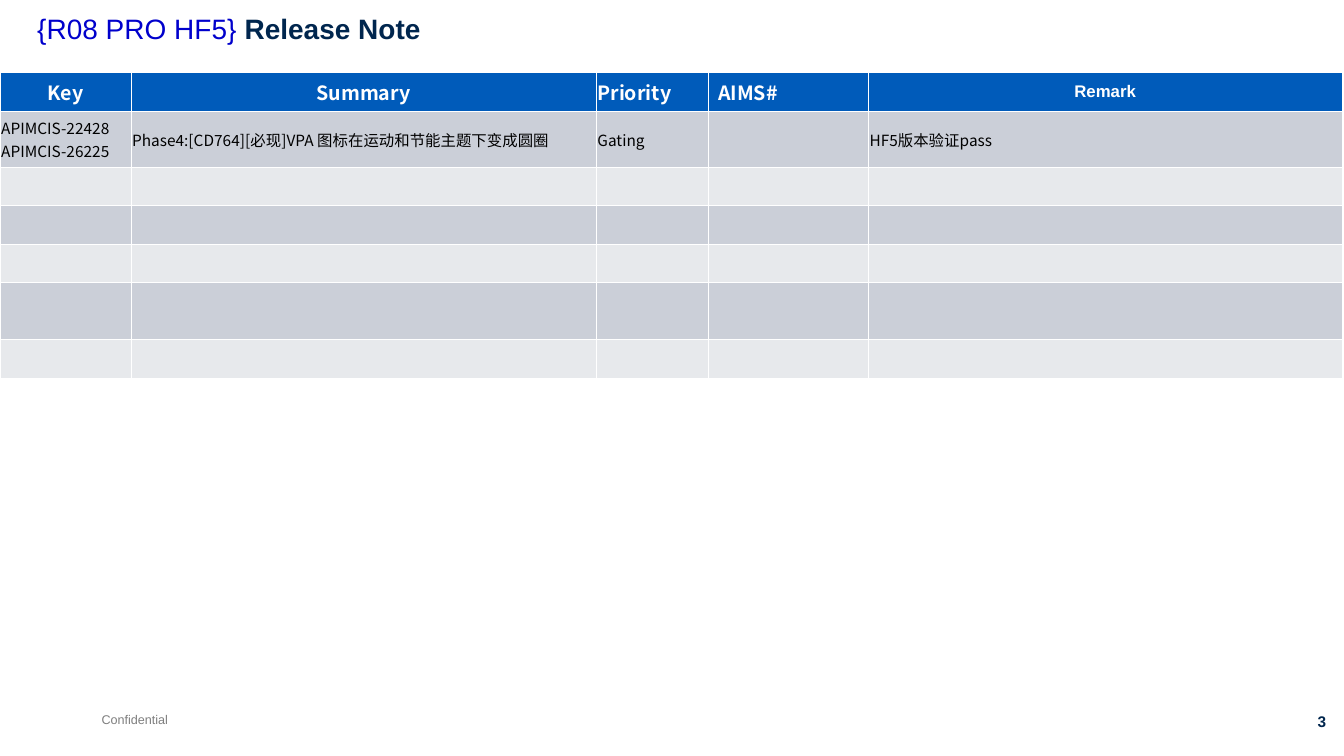
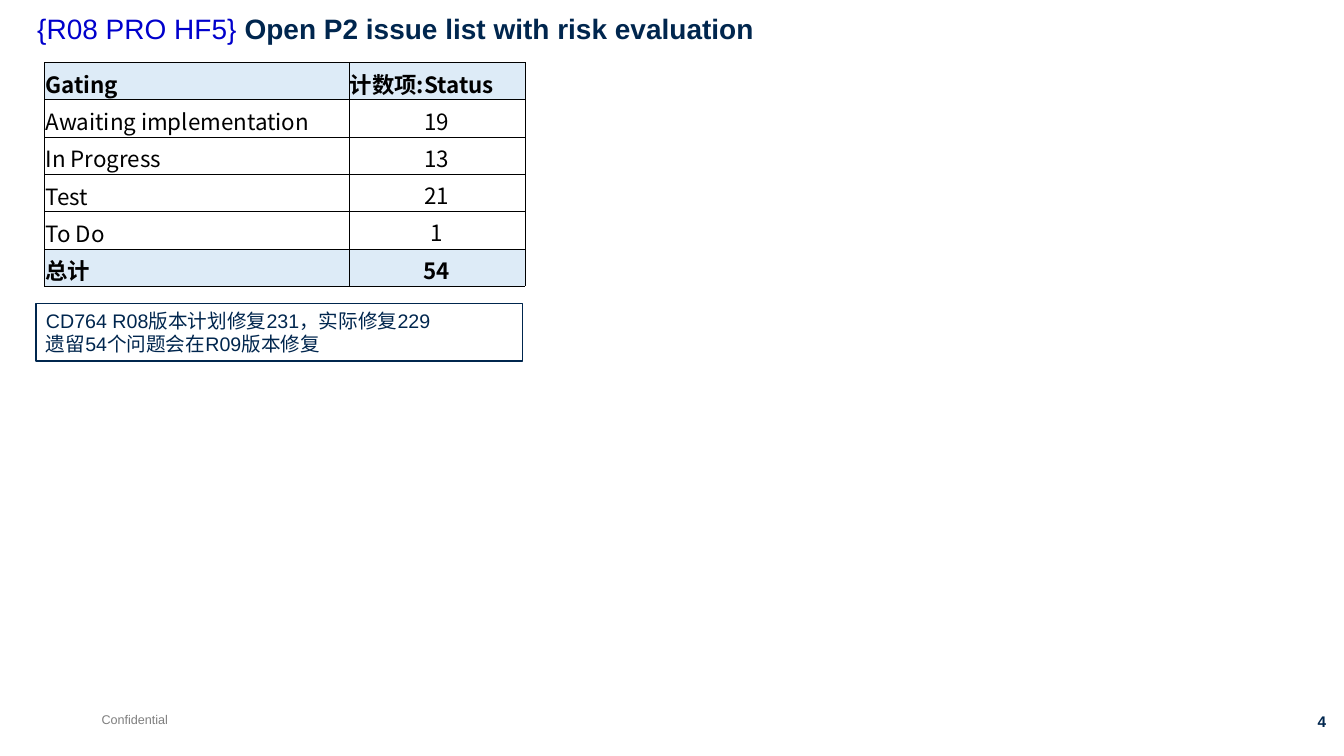
from dataclasses import dataclass

from lxml.etree import SubElement
from pptx import Presentation
from pptx.dml.color import RGBColor
from pptx.enum.shapes import MSO_SHAPE as Preset
from pptx.enum.text import MSO_ANCHOR as Anchor, PP_ALIGN as Align
from pptx.oxml.ns import qn
from pptx.util import Cm, Pt


@dataclass(frozen=True)
class Theme:
    navy: str = "00264E"
    release: str = "0000CC"
    header: str = "005BBA"
    bands: tuple = ("CBCFD8", "E7E9EC")
    total: str = "DDEBF7"
    grey: str = "7F7F7F"
    black: str = "000000"
    white: str = "FFFFFF"
    latin: str = "Arial"
    cjk: str = "Noto Sans CJK SC"
    title_size: float = 20
    count_size: float = 16
    header_size: float = 14
    note_size: float = 14
    remark_size: float = 12
    body_size: float = 11
    footer_size: float = 9
    thin: float = 0.45
    thick: float = 1.47
    hairline: float = 0.23


THEME = Theme()


def style_run(run, size, color, bold=False, name=THEME.latin):
    font = run.font
    font.size = Pt(size)
    font.bold = bold
    font.name = name
    font.color.rgb = RGBColor.from_string(color)
    SubElement(run._r.get_or_add_rPr(), qn("a:ea"), typeface=THEME.cjk)


def style_text(text_frame, size, color, bold=False, name=THEME.latin, align=Align.LEFT):
    for paragraph in text_frame.paragraphs:
        paragraph.alignment = align
        for run in paragraph.runs:
            style_run(run, size, color, bold, name)


def add_text(slide, box, text, size, color, bold=False, align=Align.LEFT):
    text_frame = slide.shapes.add_textbox(*map(Cm, box)).text_frame
    text_frame.word_wrap = True
    text_frame.text = text
    style_text(text_frame, size, color, bold, align=align)


def add_title(slide, text):
    text_frame = slide.shapes.add_textbox(Cm(0.69), Cm(0.25), Cm(30.1), Cm(1.6)).text_frame
    text_frame.word_wrap = True
    paragraph = text_frame.paragraphs[0]
    paragraph.line_spacing = 0.9
    for part, color, bold in (("{R08 PRO HF5} ", THEME.release, False), (text, THEME.navy, True)):
        run = paragraph.add_run()
        run.text = part
        style_run(run, THEME.title_size, color, bold)


def add_page(presentation, title, number):
    slide = presentation.slides.add_slide(presentation.slide_layouts[6])
    add_text(slide, (2.31, 17.81, 2.6, 0.64), "Confidential", THEME.footer_size, THEME.grey)
    add_text(slide, (31.29, 17.81, 2.39, 0.74), str(number), THEME.body_size, THEME.navy,
             bold=True, align=Align.RIGHT)
    add_title(slide, title)
    return slide


def add_note(slide, box, text):
    shape = slide.shapes.add_shape(Preset.RECTANGLE, *map(Cm, box))
    shape.shadow.inherit = False
    shape.fill.solid()
    shape.fill.fore_color.rgb = RGBColor.from_string(THEME.white)
    shape.line.color.rgb = RGBColor.from_string(THEME.navy)
    shape.line.width = Pt(1)
    text_frame = shape.text_frame
    text_frame.vertical_anchor = Anchor.TOP
    text_frame.text = text
    style_text(text_frame, THEME.note_size, THEME.navy)


def add_table(slide, left, top, widths, heights):
    table = slide.shapes.add_table(len(heights), len(widths), Cm(left), Cm(top),
                                   Cm(sum(widths)), Cm(sum(heights))).table
    table.first_row = False
    table.horz_banding = False
    for column, width in zip(table.columns, widths):
        column.width = Cm(width)
    for row, height in zip(table.rows, heights):
        row.height = Cm(height)
    return table


def set_borders(cell, color, left, right, top, bottom):
    properties = cell._tc.get_or_add_tcPr()
    for tag, width in (("lnL", left), ("lnR", right), ("lnT", top), ("lnB", bottom)):
        line = SubElement(properties, qn(f"a:{tag}"), w=str(Pt(width)))
        fill = SubElement(line, qn("a:solidFill"))
        SubElement(fill, qn("a:srgbClr"), val=color)


def fill_cell(cell, text, size, color, fill=None, bold=False, name=THEME.cjk,
              align=Align.LEFT, anchor=Anchor.MIDDLE, side=0.03, top=0.13, bottom=0.13):
    if fill:
        cell.fill.solid()
        cell.fill.fore_color.rgb = RGBColor.from_string(fill)
    else:
        cell.fill.background()
    cell.margin_left = cell.margin_right = Cm(side)
    cell.margin_top, cell.margin_bottom = Cm(top), Cm(bottom)
    cell.vertical_anchor = anchor
    if text:
        cell.text_frame.text = text
        style_text(cell.text_frame, size, color, bold, name, align)
    else:
        SubElement(cell.text_frame.paragraphs[0]._p, qn("a:endParaRPr"), sz=str(int(size * 100)))


def add_release_table(slide):
    headers = (
        ("Key", THEME.header_size, THEME.cjk, Align.CENTER, 0.03),
        ("Summary", THEME.header_size, THEME.cjk, Align.CENTER, 0.03),
        ("Priority", THEME.header_size, THEME.cjk, Align.LEFT, 0.03),
        ("AIMS#", THEME.header_size, THEME.cjk, Align.LEFT, 0.25),
        ("Remark", THEME.remark_size, THEME.latin, Align.CENTER, 0.25),
    )
    issues = [("APIMCIS-22428\nAPIMCIS-26225", "Phase4:[CD764][必现]VPA 图标在运动和节能主题下变成圆圈",
               "Gating", "", "HF5版本验证pass")]
    heights = (0.98, 1.4, 0.97, 0.97, 0.97, 1.42, 1)
    issues += [("",) * len(headers)] * (len(heights) - 1 - len(issues))
    table = add_table(slide, 0, 1.83, (3.3, 11.73, 2.82, 4.04, 11.94), heights)
    for column, (text, size, name, align, side) in enumerate(headers):
        cell = table.cell(0, column)
        set_borders(cell, THEME.white, THEME.thin, THEME.thin, THEME.thin, THEME.thick)
        fill_cell(cell, text, size, THEME.white, THEME.header, True, name, align, side=side)
    for row, issue in enumerate(issues, 1):
        upper = THEME.thick if row == 1 else THEME.thin
        for column, text in enumerate(issue):
            cell = table.cell(row, column)
            set_borders(cell, THEME.white, THEME.thin, THEME.thin, upper, THEME.thin)
            fill_cell(cell, text, THEME.body_size, THEME.black, THEME.bands[(row - 1) % 2])


def add_status_table(slide):
    counts = (("Awaiting implementation", 19), ("In Progress", 13), ("Test", 21), ("To Do", 1))
    total = sum(count for _, count in counts)
    rows = (("Gating", "计数项:Status"), *counts, ("总计", total))
    table = add_table(slide, 1.12, 1.57, (7.67, 4.44), (0.94,) * len(rows))
    for row, values in enumerate(rows):
        strong = row in (0, len(rows) - 1)
        for column, value in enumerate(values):
            numeric = isinstance(value, int)
            cell = table.cell(row, column)
            set_borders(cell, THEME.black, *(THEME.hairline,) * 4)
            fill_cell(cell, str(value), THEME.count_size, THEME.black,
                      THEME.total if strong else None, strong,
                      align=Align.CENTER if numeric else Align.LEFT,
                      anchor=Anchor.MIDDLE if numeric else Anchor.BOTTOM, top=0.1, bottom=0)


def main():
    presentation = Presentation()
    presentation.slide_width, presentation.slide_height = Cm(33.88), Cm(19.05)
    release_slide = add_page(presentation, "Release Note", 3)
    add_release_table(release_slide)
    status_slide = add_page(presentation, "Open P2 issue list with risk evaluation", 4)
    add_note(status_slide, (0.91, 7.65, 12.27, 1.45),
             "CD764 R08版本计划修复231，实际修复229\n遗留54个问题会在R09版本修复")
    add_status_table(status_slide)
    presentation.save("out.pptx")


if __name__ == "__main__":
    main()
